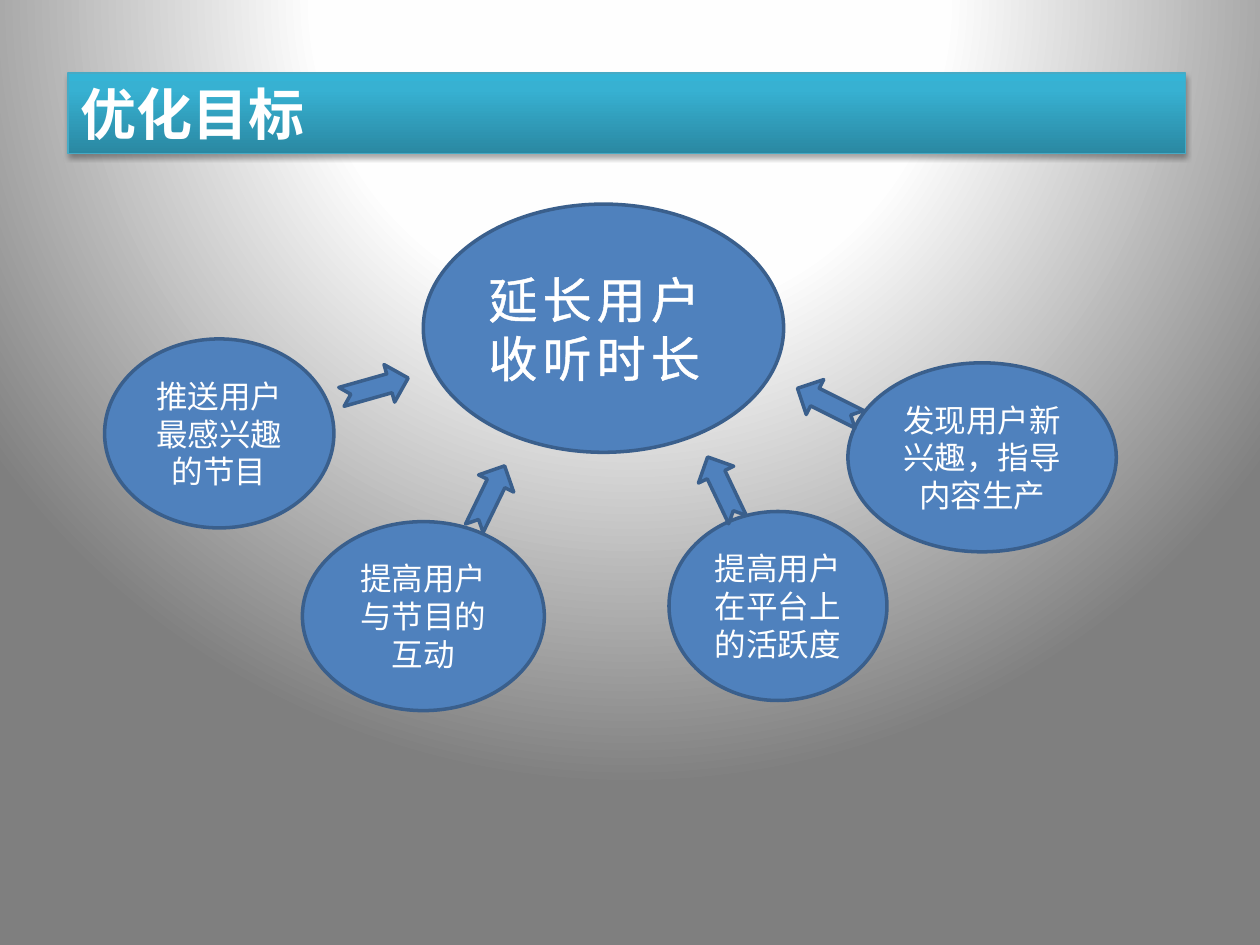
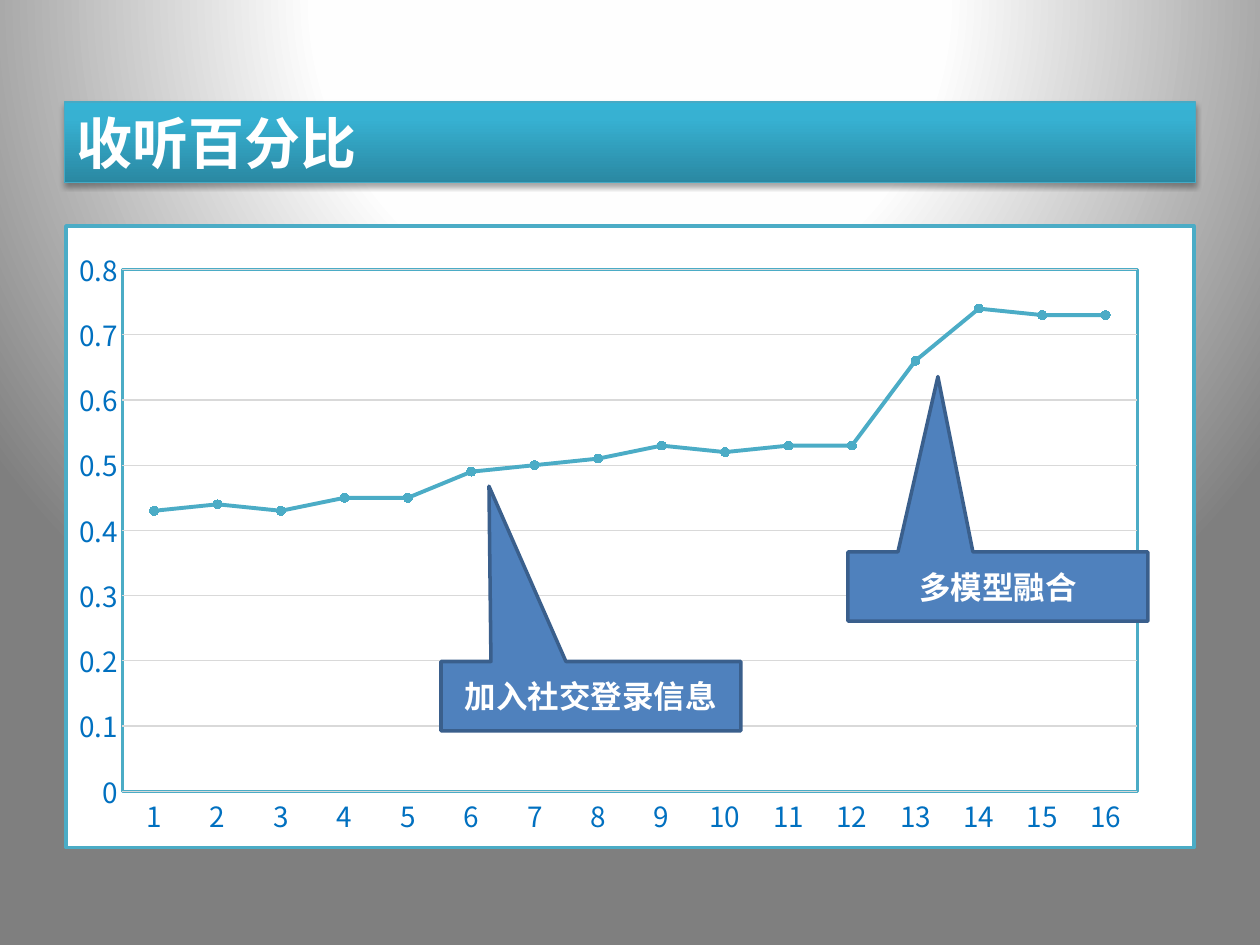
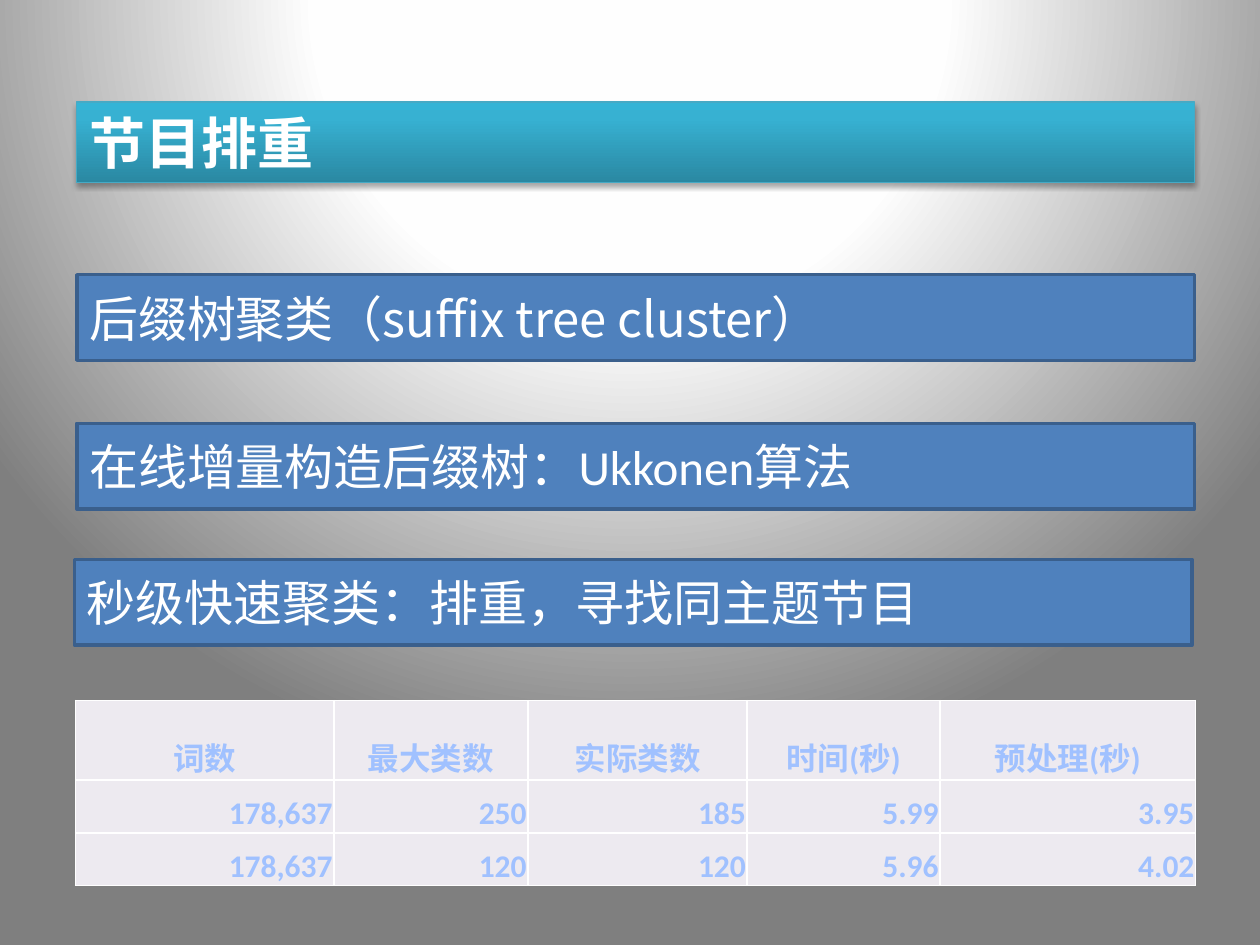
from dataclasses import dataclass

from lxml.etree import SubElement
from pptx import Presentation
from pptx.chart.data import CategoryChartData
from pptx.dml.color import RGBColor
from pptx.enum.chart import XL_CHART_TYPE, XL_MARKER_STYLE, XL_TICK_MARK
from pptx.enum.shapes import MSO_SHAPE
from pptx.enum.text import MSO_ANCHOR, MSO_AUTO_SIZE, PP_ALIGN
from pptx.oxml import parse_xml
from pptx.oxml.ns import nsdecls, qn
from pptx.util import Inches, Pt

WHITE = RGBColor(0xFF, 0xFF, 0xFF)
BLUE = RGBColor(0x4F, 0x81, 0xBD)
DARK_BLUE = RGBColor(0x3A, 0x5F, 0x8C)
TEAL = RGBColor(0x4B, 0xAC, 0xC6)
BAND_EDGE = RGBColor(0x46, 0xAA, 0xC5)
LABEL_BLUE = RGBColor(0x00, 0x70, 0xC0)
GRID_GRAY = RGBColor(0xD9, 0xD9, 0xD9)
CELL_FILL = RGBColor(0xED, 0xEA, 0xF0)
CELL_TEXT_EDGE = RGBColor(0x46, 0x7A, 0xB8)

BACKGROUND_STOPS = ((0, WHITE), (40, RGBColor(0xFE, 0xFE, 0xFE)), (100, RGBColor(0x7F, 0x7F, 0x7F)))
BAND_STOPS = (
    (0, RGBColor(0x2A, 0x88, 0xA2)),
    (80, RGBColor(0x37, 0xB1, 0xD2)),
    (100, RGBColor(0x34, 0xB4, 0xD6)),
)
PALE_TEXT, LIGHT_TEXT = RGBColor(0xBF, 0xD3, 0xF9), RGBColor(0xA0, 0xC1, 0xFF)
CELL_TEXT_STOPS = (
    (0, PALE_TEXT),
    (9, LIGHT_TEXT),
    (50, RGBColor(0x00, 0x3D, 0x85)),
    (79, LIGHT_TEXT),
    (100, PALE_TEXT),
)

CHINESE_FONT = "Noto Sans CJK SC"
LATIN_FONT = "Calibri"
SLIDE_WIDTH, SLIDE_HEIGHT = Inches(10), Inches(7.5)
COLUMN, ROW = SLIDE_WIDTH / 100, SLIDE_HEIGHT / 75
LINE_PITCH = 1.2
RADIAL = '<a:path path="circle"><a:fillToRect l="50000" t="-80000" r="50000" b="180000"/></a:path>'


@dataclass(frozen=True)
class Box:
    left: float
    top: float
    width: float
    height: float

    def lengths(self) -> tuple[int, int, int, int]:
        return (
            round(self.left * COLUMN),
            round(self.top * ROW),
            round(self.width * COLUMN),
            round(self.height * ROW),
        )


@dataclass(frozen=True)
class Goal:
    text: str
    box: Box
    arrow: Box
    arrow_angle: float


@dataclass(frozen=True)
class Callout:
    text: str
    box: Box
    tip: tuple[float, float]


GOALS = (
    Goal("提高用户与节目的互动", Box(24, 41.4, 19.2, 15), Box(36.1, 37.9, 5.5, 3.1), 295.9),
    Goal("提高用户在平台上的活跃度", Box(53.1, 40.6, 17.3, 15), Box(54.6, 37.2, 5.5, 3.1), 244.5),
    Goal("发现用户新兴趣，指导内容生产", Box(67.3, 28.8, 21.3, 15), Box(63, 30.5, 5.5, 3.1), 206.6),
    Goal("推送用户最感兴趣的节目", Box(8.3, 26.9, 18.2, 15), Box(27, 29.2, 5.5, 3.1), 344.2),
)
CALLOUTS = (
    Callout("加入社交登录信息", Box(35, 52.5, 23.8, 5.5), (-0.34, -3.03)),
    Callout("多模型融合", Box(67.3, 43.8, 23.8, 5.5), (-0.2, -3.03)),
)
LISTENING_SHARES = (
    0.43, 0.44, 0.43, 0.45, 0.45, 0.49, 0.5, 0.51,
    0.53, 0.52, 0.53, 0.53, 0.66, 0.74, 0.73, 0.73,
)
METHODS = (
    (Box(6.1, 21.8, 88.7, 6.8), (("后缀树聚类（suffix tree cluster）", CHINESE_FONT),)),
    (Box(6.1, 33.6, 88.7, 6.8), (("在线增量构造后缀树：", CHINESE_FONT), ("Ukkonen算法", LATIN_FONT))),
    (Box(5.9, 44.4, 88.7, 6.8), (("秒级快速聚类：排重，寻找同主题节目", CHINESE_FONT),)),
)
TIMING_COLUMNS = (20.5, 15.4, 17.4, 15.3, 20.3)
TIMING_ROWS = (6.3, 4.2, 4.2)
TIMINGS = (
    ("词数", "最大类数", "实际类数", "时间(秒)", "预处理(秒)"),
    ("178,637", "250", "185", "5.99", "3.95"),
    ("178,637", "120", "120", "5.96", "4.02"),
)


def line_xml(tag: str, color: RGBColor, points: float):
    return parse_xml(
        f'<a:{tag} {nsdecls("a")} w="{Pt(points)}"><a:solidFill>'
        f'<a:srgbClr val="{color}"/></a:solidFill></a:{tag}>'
    )


def set_gradient(fill, properties, stops, direction: str) -> None:
    fill.solid()
    solid = properties.find(qn("a:solidFill"))
    stop_xml = "".join(
        f'<a:gs pos="{position * 1000}"><a:srgbClr val="{color}"/></a:gs>' for position, color in stops
    )
    gradient = parse_xml(
        f'<a:gradFill {nsdecls("a")} rotWithShape="1"><a:gsLst>{stop_xml}</a:gsLst>{direction}</a:gradFill>'
    )
    properties.replace(solid, gradient)


def linear(degrees: int) -> str:
    return f'<a:lin ang="{degrees * 60000}" scaled="0"/>'


def style_font(font, size: float, color: RGBColor, bold: bool = False, name: str = CHINESE_FONT) -> None:
    font.size = Pt(size)
    font.bold = bold
    font.color.rgb = color
    font.name = name
    SubElement(font._element, qn("a:ea")).set("typeface", CHINESE_FONT)


def add_blue_shape(slide, preset: MSO_SHAPE, box: Box):
    shape = slide.shapes.add_shape(preset, *box.lengths())
    shape.shadow.inherit = False
    shape.fill.solid()
    shape.fill.fore_color.rgb = BLUE
    shape.line.color.rgb = DARK_BLUE
    shape.line.width = Pt(2)
    return shape


def write_text(shape, text: str, size: float, alignment: PP_ALIGN, bold: bool = False):
    shape.text_frame.vertical_anchor = MSO_ANCHOR.MIDDLE
    paragraph = shape.text_frame.paragraphs[0]
    paragraph.text = text
    paragraph.alignment = alignment
    style_font(paragraph.font, size, WHITE, bold)
    return paragraph


def add_titled_slide(presentation, text: str, box: Box):
    slide = presentation.slides.add_slide(presentation.slide_layouts.get_by_name("Title Only"))
    title = slide.shapes.title
    title.left, title.top, title.width, title.height = box.lengths()
    write_text(title, text, 32, PP_ALIGN.LEFT, bold=True)
    title.text_frame.auto_size = MSO_AUTO_SIZE.NONE
    properties = title._element.spPr
    set_gradient(title.fill, properties, BAND_STOPS, linear(270))
    title.line.color.rgb = BAND_EDGE
    title.line.width = Pt(0.75)
    properties.append(parse_xml(
        f'<a:effectLst {nsdecls("a")}><a:outerShdw blurRad="{Pt(3.1)}" dist="{Pt(1.8)}" dir="5400000" '
        'rotWithShape="0"><a:srgbClr val="000000"><a:alpha val="35000"/></a:srgbClr>'
        "</a:outerShdw></a:effectLst>"
    ))
    return slide


def build_goals(presentation) -> None:
    slide = add_titled_slide(presentation, "优化目标", Box(5.4, 5.8, 88.7, 6.4))
    center = add_blue_shape(slide, MSO_SHAPE.OVAL, Box(33.6, 16.2, 28.6, 19.7))
    paragraph = write_text(center, "延长用户收听时长", 28, PP_ALIGN.LEFT)
    paragraph.line_spacing = Pt(28 * LINE_PITCH)
    run_properties = paragraph.runs[0]._r.get_or_add_rPr()
    run_properties.set("spc", "300")
    run_properties.insert(0, line_xml("ln", WHITE, 1.45))
    for goal in GOALS:
        oval = add_blue_shape(slide, MSO_SHAPE.OVAL, goal.box)
        write_text(oval, goal.text, 18, PP_ALIGN.CENTER).line_spacing = Pt(18 * LINE_PITCH)
    for goal in GOALS:
        add_blue_shape(slide, MSO_SHAPE.NOTCHED_RIGHT_ARROW, goal.arrow).rotation = goal.arrow_angle


def add_share_chart(slide, box: Box) -> None:
    data = CategoryChartData()
    data.categories = [str(number) for number in range(1, len(LISTENING_SHARES) + 1)]
    data.add_series("Series 1", LISTENING_SHARES)
    chart = slide.shapes.add_chart(XL_CHART_TYPE.LINE_MARKERS, *box.lengths(), data).chart
    chart.has_legend = False
    chart.has_title = False
    chart.font.name = LATIN_FONT
    chart.font.size = Pt(10)

    for axis in (chart.category_axis, chart.value_axis):
        axis.major_tick_mark = axis.minor_tick_mark = XL_TICK_MARK.NONE
        style_font(axis.tick_labels.font, 16, LABEL_BLUE)
        axis.tick_labels.number_format = "General"
        axis.tick_labels.number_format_is_linked = False
    value_axis = chart.value_axis
    value_axis.minimum_scale, value_axis.maximum_scale, value_axis.major_unit = 0, 0.8, 0.1
    value_axis.format.line.fill.background()
    for line in (chart.category_axis.format.line, value_axis.major_gridlines.format.line):
        line.color.rgb = GRID_GRAY
        line.width = Pt(0.75)

    plot = chart.plots[0]
    plot.vary_by_categories = False
    series = plot.series[0]
    series.smooth = False
    series.format.line.color.rgb = TEAL
    series.format.line.width = Pt(2.25)
    series.marker.style = XL_MARKER_STYLE.CIRCLE
    series.marker.size = 5
    series.marker.format.fill.solid()
    series.marker.format.fill.fore_color.rgb = TEAL
    series.marker.format.line.color.rgb = TEAL

    def white_panel():
        panel = parse_xml(
            f'<c:spPr {nsdecls("c", "a")}><a:solidFill><a:srgbClr val="{WHITE}"/></a:solidFill></c:spPr>'
        )
        panel.append(line_xml("ln", TEAL, 2))
        return panel

    chart_element = chart._chartSpace.find(qn("c:chart"))
    chart_element.addnext(white_panel())
    plot_area = chart_element.find(qn("c:plotArea"))
    plot_area.append(white_panel())
    for layout in plot_area.findall(qn("c:layout")):
        plot_area.remove(layout)
    shares = {"x": 0.05, "y": 0.07, "w": 0.9, "h": 0.84}
    modes = "".join(f'<c:{key}Mode val="edge"/>' for key in "xy")
    values = "".join(f'<c:{key} val="{share}"/>' for key, share in shares.items())
    plot_area.insert(0, parse_xml(
        f'<c:layout {nsdecls("c")}><c:manualLayout><c:layoutTarget val="inner"/>'
        f"{modes}{values}</c:manualLayout></c:layout>"
    ))


def build_shares(presentation) -> None:
    slide = add_titled_slide(presentation, "收听百分比", Box(5.1, 8.1, 89.8, 6.4))
    add_share_chart(slide, Box(5.1, 17.8, 89.8, 49.6))
    for callout in CALLOUTS:
        shape = add_blue_shape(slide, MSO_SHAPE.RECTANGULAR_CALLOUT, callout.box)
        shape.adjustments[0], shape.adjustments[1] = callout.tip
        write_text(shape, callout.text, 18, PP_ALIGN.CENTER, bold=True)


def format_cell(cell, text: str, alignment: PP_ALIGN) -> None:
    cell.margin_left = cell.margin_right = cell.margin_top = Inches(0.01)
    cell.margin_bottom = 0
    cell.vertical_anchor = MSO_ANCHOR.BOTTOM
    cell.fill.solid()
    cell.fill.fore_color.rgb = CELL_FILL
    cell_properties = cell._tc.get_or_add_tcPr()
    for index, side in enumerate(("lnL", "lnR", "lnT", "lnB")):
        cell_properties.insert(index, line_xml(side, WHITE, 1))
    paragraph = cell.text_frame.paragraphs[0]
    paragraph.alignment = alignment
    run = paragraph.add_run()
    run.text = text
    style_font(run.font, 18, LIGHT_TEXT, bold=True, name=LATIN_FONT)
    run_properties = run._r.get_or_add_rPr()
    set_gradient(run.font.fill, run_properties, CELL_TEXT_STOPS, linear(90))
    run_properties.insert(0, line_xml("ln", CELL_TEXT_EDGE, 0.83))


def build_deduplication(presentation) -> None:
    slide = add_titled_slide(presentation, "节目排重", Box(6.1, 8.1, 88.7, 6.4))
    for box, pieces in METHODS:
        bar = add_blue_shape(slide, MSO_SHAPE.RECTANGLE, box)
        bar.text_frame.vertical_anchor = MSO_ANCHOR.MIDDLE
        paragraph = bar.text_frame.paragraphs[0]
        paragraph.alignment = PP_ALIGN.LEFT
        for text, font_name in pieces:
            run = paragraph.add_run()
            run.text = text
            style_font(run.font, 28, WHITE, name=font_name)

    box = Box(6, 55.6, sum(TIMING_COLUMNS), sum(TIMING_ROWS))
    table = slide.shapes.add_table(len(TIMING_ROWS), len(TIMING_COLUMNS), *box.lengths()).table
    table.first_row = table.horz_banding = False
    for column, width in zip(table.columns, TIMING_COLUMNS):
        column.width = round(width * COLUMN)
    for row_index, (row, height) in enumerate(zip(table.rows, TIMING_ROWS)):
        row.height = round(height * ROW)
        alignment = PP_ALIGN.RIGHT if row_index else PP_ALIGN.CENTER
        for cell, text in zip(row.cells, TIMINGS[row_index]):
            format_cell(cell, text, alignment)


def main() -> None:
    presentation = Presentation()
    presentation.slide_width, presentation.slide_height = SLIDE_WIDTH, SLIDE_HEIGHT
    master = presentation.slide_master
    background_fill = master.background.fill
    background_fill.solid()
    background_properties = master.element.find(f'.//{qn("p:bgPr")}')
    set_gradient(background_fill, background_properties, BACKGROUND_STOPS, RADIAL)
    build_goals(presentation)
    build_shares(presentation)
    build_deduplication(presentation)
    presentation.save("out.pptx")


if __name__ == "__main__":
    main()
